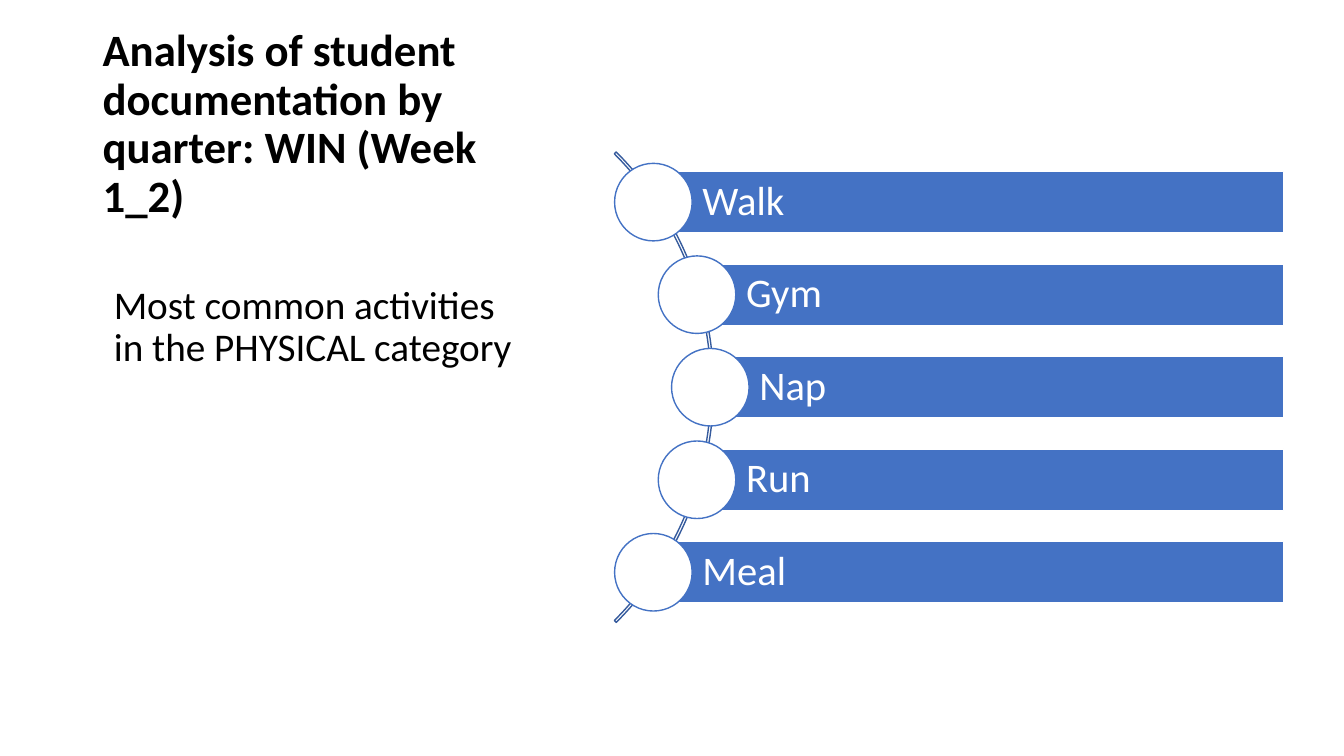
"""Build a slide listing the most common physical activities along an arc."""
import math
from dataclasses import dataclass

import pptx
import pptx.dml.color
import pptx.enum.shapes
import pptx.enum.text
import pptx.shapes.autoshape
import pptx.slide
import pptx.text.text
import pptx.util

Pt = pptx.util.Pt
RGBColor = pptx.dml.color.RGBColor
Preset = pptx.enum.shapes.MSO_SHAPE
Anchor = pptx.enum.text.MSO_ANCHOR

BLACK = RGBColor(0x00, 0x00, 0x00)
WHITE = RGBColor(0xFF, 0xFF, 0xFF)
BLUE = RGBColor(0x44, 0x72, 0xC4)
DARK_BLUE = RGBColor(0x36, 0x5B, 0x9D)

ARC_CENTER_X = 272.2
ARC_CENTER_Y = 276.6
ARC_SIZE = 475.2
GUIDE_RADIUS = 235.2
ROW_PITCH = 66.1
BAR_RIGHT = 916.8
BAR_HEIGHT = 44
CIRCLE_SIZE = 55.4


@dataclass(frozen=True)
class Box:
    left: float
    top: float
    width: float
    height: float

    def lengths(self) -> tuple[pptx.util.Length, ...]:
        return Pt(self.left), Pt(self.top), Pt(self.width), Pt(self.height)


@dataclass(frozen=True)
class Activity:
    label: str
    offset: int

    @property
    def center_x(self) -> float:
        rise = self.offset * ROW_PITCH
        return ARC_CENTER_X + math.sqrt(GUIDE_RADIUS**2 - rise**2)

    @property
    def center_y(self) -> float:
        return ARC_CENTER_Y + self.offset * ROW_PITCH


ACTIVITIES = [
    Activity(label, offset)
    for offset, label in enumerate(("Walk", "Gym", "Nap", "Run", "Meal"), start=-2)
]


def centered_square(x: float, y: float, size: float) -> Box:
    return Box(x - size / 2, y - size / 2, size, size)


def write_text(
    frame: pptx.text.text.TextFrame,
    text: str,
    *,
    size: float,
    color: RGBColor = BLACK,
    bold: bool = False,
    anchor: Anchor = Anchor.TOP,
    insets: tuple[float, float, float, float] = (7.2, 3.6, 7.2, 3.6),
) -> None:
    frame.word_wrap = True
    frame.vertical_anchor = anchor
    frame.margin_left, frame.margin_top, frame.margin_right, frame.margin_bottom = map(Pt, insets)
    paragraph = frame.paragraphs[0]
    paragraph.alignment = pptx.enum.text.PP_ALIGN.LEFT
    paragraph.line_spacing = 0.9
    run = paragraph.add_run()
    run.text = text
    run.font.name = "Calibri"
    run.font.size = Pt(size)
    run.font.bold = bold
    run.font.color.rgb = color


def add_preset(
    slide: pptx.slide.Slide, preset: Preset, box: Box, fill: RGBColor | None, line: RGBColor
) -> pptx.shapes.autoshape.Shape:
    shape = slide.shapes.add_shape(preset, *box.lengths())
    shape.shadow.inherit = False
    if fill is None:
        shape.fill.background()
    else:
        shape.fill.solid()
        shape.fill.fore_color.rgb = fill
    shape.line.color.rgb = line
    shape.line.width = Pt(1)
    return shape


def add_arc(slide: pptx.slide.Slide) -> None:
    box = centered_square(ARC_CENTER_X, ARC_CENTER_Y, ARC_SIZE)
    arc = add_preset(slide, Preset.BLOCK_ARC, box, None, DARK_BLUE)
    for index, value in enumerate((189, 27, 0.004)):
        arc.adjustments[index] = value


def add_activity(slide: pptx.slide.Slide, activity: Activity) -> None:
    x, y = activity.center_x, activity.center_y
    bar_box = Box(x, y - BAR_HEIGHT / 2, BAR_RIGHT - x, BAR_HEIGHT)
    bar = add_preset(slide, Preset.RECTANGLE, bar_box, BLUE, WHITE)
    write_text(
        bar.text_frame,
        activity.label,
        size=29,
        color=WHITE,
        anchor=Anchor.MIDDLE,
        insets=(35, 5.8, 5.8, 5.8),
    )
    add_preset(slide, Preset.OVAL, centered_square(x, y, CIRCLE_SIZE), WHITE, BLUE)


def main() -> None:
    deck = pptx.Presentation()
    deck.slide_width, deck.slide_height = Pt(960), Pt(540)
    slide = deck.slides.add_slide(deck.slide_layouts[6])

    heading = slide.shapes.add_textbox(*Box(66.2, 36, 344.9, 126).lengths())
    write_text(
        heading.text_frame,
        "Analysis of student documentation by quarter: WIN (Week 1_2)",
        size=32,
        bold=True,
        anchor=Anchor.BOTTOM,
    )
    summary = slide.shapes.add_textbox(*Box(74.2, 200.2, 309.6, 300.2).lengths())
    write_text(summary.text_frame, "Most common activities in the PHYSICAL category", size=28)

    add_arc(slide)
    for activity in ACTIVITIES:
        add_activity(slide, activity)
    deck.save("out.pptx")


if __name__ == "__main__":
    main()
